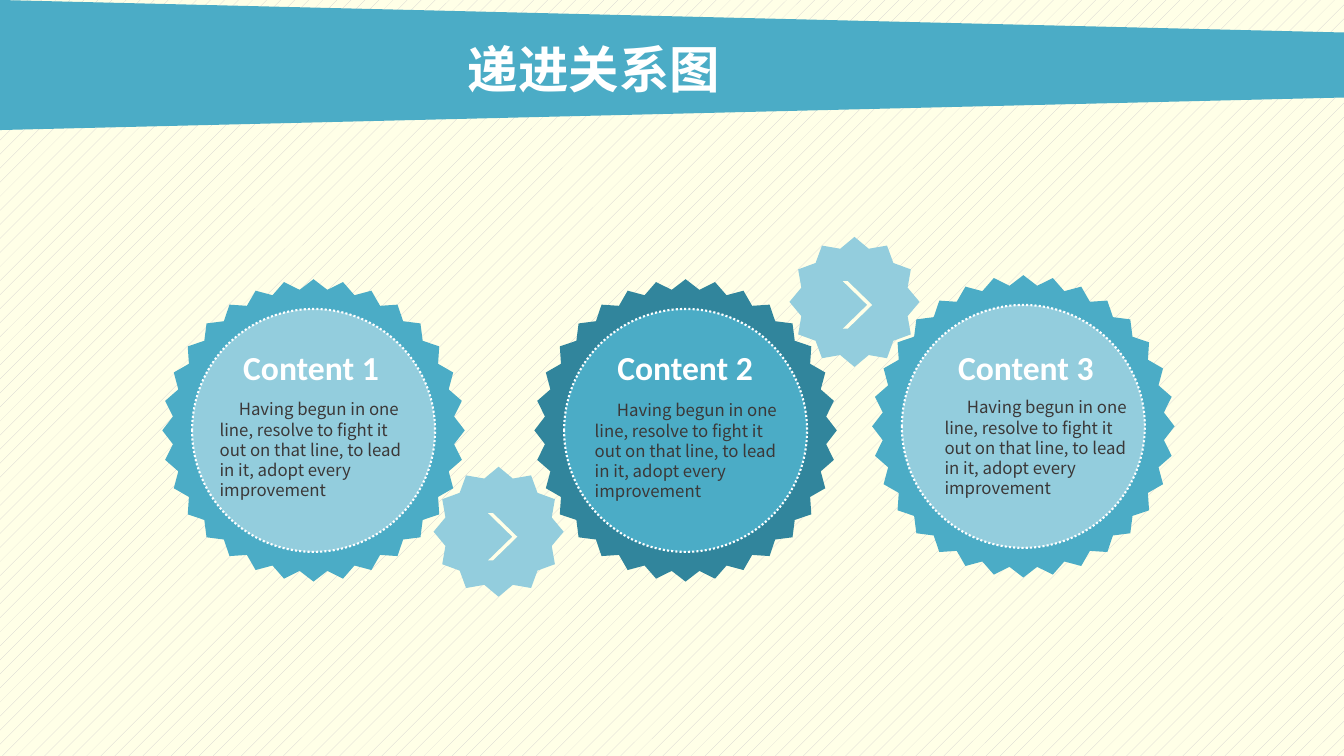
from dataclasses import dataclass

from pptx import Presentation
from pptx.dml.color import RGBColor
from pptx.enum.dml import MSO_LINE, MSO_PATTERN
from pptx.enum.shapes import MSO_SHAPE
from pptx.enum.text import MSO_ANCHOR, PP_ALIGN
from pptx.oxml.ns import qn
from pptx.util import Inches, Pt

WHITE = RGBColor(0xFF, 0xFF, 0xFF)
CREAM = RGBColor(0xFF, 0xFF, 0xE7)
HATCH_GREY = RGBColor(0xD0, 0xCE, 0xCE)
TEAL = RGBColor(0x4B, 0xAC, 0xC6)
LIGHT_TEAL = RGBColor(0x93, 0xCD, 0xDD)
DARK_TEAL = RGBColor(0x31, 0x85, 0x9C)
BODY_GREY = RGBColor(0x3B, 0x38, 0x38)
CJK_FONT = "Noto Sans CJK SC"

SLIDE_WIDTH, SLIDE_HEIGHT = 13.33, 7.5
BANNER_HEIGHT = 1.29
BADGE_SIZE, DISC_SIZE, GEAR_SIZE = 3, 2.41, 1.29
STATEMENT = ("Having begun in one line, resolve to fight it out on that line, "
             "to lead in it, adopt every improvement")


@dataclass(frozen=True)
class Stage:
    heading: str
    left: float
    top: float
    rim: RGBColor
    disc: RGBColor
    heading_left: float
    body_left: float
    body_top: float
    indent: float


@dataclass(frozen=True)
class Step:
    left: float
    top: float
    arrow_left: float
    arrow_top: float


STAGES = [
    Stage("Content 1", 1.61, 2.77, TEAL, LIGHT_TEAL, 2.31, 2.08, 3.91, 0.19),
    Stage("Content 2", 5.3, 2.77, DARK_TEAL, TEAL, 6.02, 5.8, 3.92, 0.22),
    Stage("Content 3", 8.65, 2.73, TEAL, LIGHT_TEAL, 9.4, 9.27, 3.89, 0.22),
]
STEPS = [Step(4.3, 4.63, 4.84, 5.09), Step(7.83, 2.35, 8.36, 2.79)]


def add_solid(shapes, kind: MSO_SHAPE, left: float, top: float, width: float,
              height: float, color: RGBColor, adjustment: float | None = None):
    """Add a flat preset shape without outline."""
    solid = shapes.add_shape(kind, Inches(left), Inches(top), Inches(width), Inches(height))
    solid.shadow.inherit = False
    solid.fill.solid()
    solid.fill.fore_color.rgb = color
    solid.line.fill.background()
    if adjustment is not None:
        solid.adjustments[0] = adjustment
    return solid


def format_text(paragraph, font_name: str, size: int, color: RGBColor, bold: bool) -> None:
    for run in paragraph.runs:
        font = run.font
        font.name, font.size, font.bold = font_name, Pt(size), bold
        font.color.rgb = color
        east_asian = run._r.get_or_add_rPr().makeelement(qn("a:ea"), {"typeface": font_name})
        font._element.find(qn("a:latin")).addnext(east_asian)


def add_text(shapes, text: str, left: float, top: float, width: float, height: float,
             font_name: str, size: int, color: RGBColor, bold: bool = False):
    """Add a wrapped text box and return its paragraph."""
    box = shapes.add_textbox(Inches(left), Inches(top), Inches(width), Inches(height))
    box.text_frame.word_wrap = True
    paragraph = box.text_frame.paragraphs[0]
    paragraph.text = text
    format_text(paragraph, font_name, size, color, bold)
    return paragraph


def add_badge(shapes, stage: Stage) -> None:
    badge = shapes.add_group_shape().shapes
    add_solid(badge, MSO_SHAPE.STAR_32_POINT, stage.left, stage.top,
              BADGE_SIZE, BADGE_SIZE, stage.rim, 0.467)
    inset = (BADGE_SIZE - DISC_SIZE) / 2
    disc = add_solid(badge, MSO_SHAPE.OVAL, stage.left + inset, stage.top + inset,
                     DISC_SIZE, DISC_SIZE, stage.disc)
    disc.line.color.rgb = WHITE
    disc.line.width = Pt(1.5)
    disc.line.dash_style = MSO_LINE.ROUND_DOT


def add_step(shapes, step: Step) -> None:
    add_solid(shapes, MSO_SHAPE.STAR_12_POINT, step.left, step.top,
              GEAR_SIZE, GEAR_SIZE, LIGHT_TEAL, 0.423)
    add_solid(shapes, MSO_SHAPE.CHEVRON, step.arrow_left, step.arrow_top,
              0.29, 0.47, CREAM, 0.833)


def add_stage_text(shapes, stage: Stage) -> None:
    heading = add_text(shapes, stage.heading, stage.heading_left, 3.39, 1.55, 0.5,
                       "Calibri", 24, WHITE, bold=True)
    heading.alignment = PP_ALIGN.CENTER
    body = add_text(shapes, STATEMENT, stage.body_left, stage.body_top, 2.09, 1.11,
                    CJK_FONT, 12, BODY_GREY)
    body.line_spacing = Pt(14.4)
    body._p.get_or_add_pPr().set("indent", str(Inches(stage.indent)))


presentation = Presentation()
presentation.slide_width = Inches(SLIDE_WIDTH)
presentation.slide_height = Inches(SLIDE_HEIGHT)
slide = presentation.slides.add_slide(presentation.slide_layouts[5])

# Hatched background
backdrop = slide.background.fill
backdrop.patterned()
backdrop.pattern = MSO_PATTERN.PERCENT_5
backdrop.fore_color.rgb = HATCH_GREY
backdrop.back_color.rgb = CREAM

# Banner: a trapezoid turned on its side, behind the title
banner_offset = (SLIDE_WIDTH - BANNER_HEIGHT) / 2
banner = add_solid(slide.shapes, MSO_SHAPE.TRAPEZOID, banner_offset, -banner_offset,
                   BANNER_HEIGHT, SLIDE_WIDTH, TEAL)
banner.rotation = 90
title = slide.shapes.title
title._element.addprevious(banner._element)

# Title
title.left, title.top = Inches(4.46), Inches(0.29)
title.width, title.height = Inches(2.86), Inches(0.71)
title.text_frame.text = "递进关系图"
title.text_frame.vertical_anchor = MSO_ANCHOR.MIDDLE
title_line = title.text_frame.paragraphs[0]
title_line.alignment = PP_ALIGN.CENTER
title_line.line_spacing = Pt(48)
format_text(title_line, CJK_FONT, 36, WHITE, bold=True)

# Badges, the steps between them, and the wording on top
for stage in STAGES:
    add_badge(slide.shapes, stage)
for step in STEPS:
    add_step(slide.shapes, step)
for stage in STAGES:
    add_stage_text(slide.shapes, stage)

presentation.save("out.pptx")
